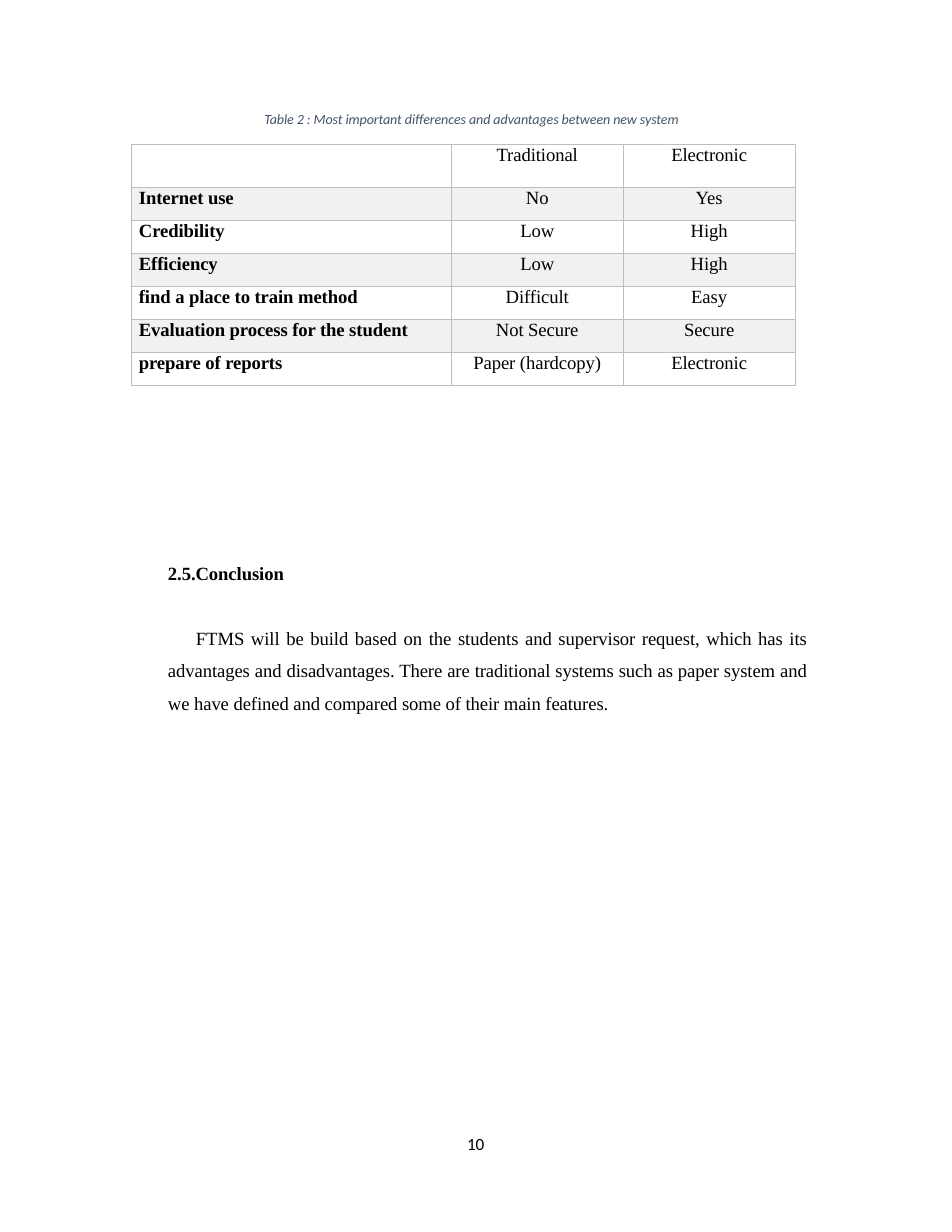
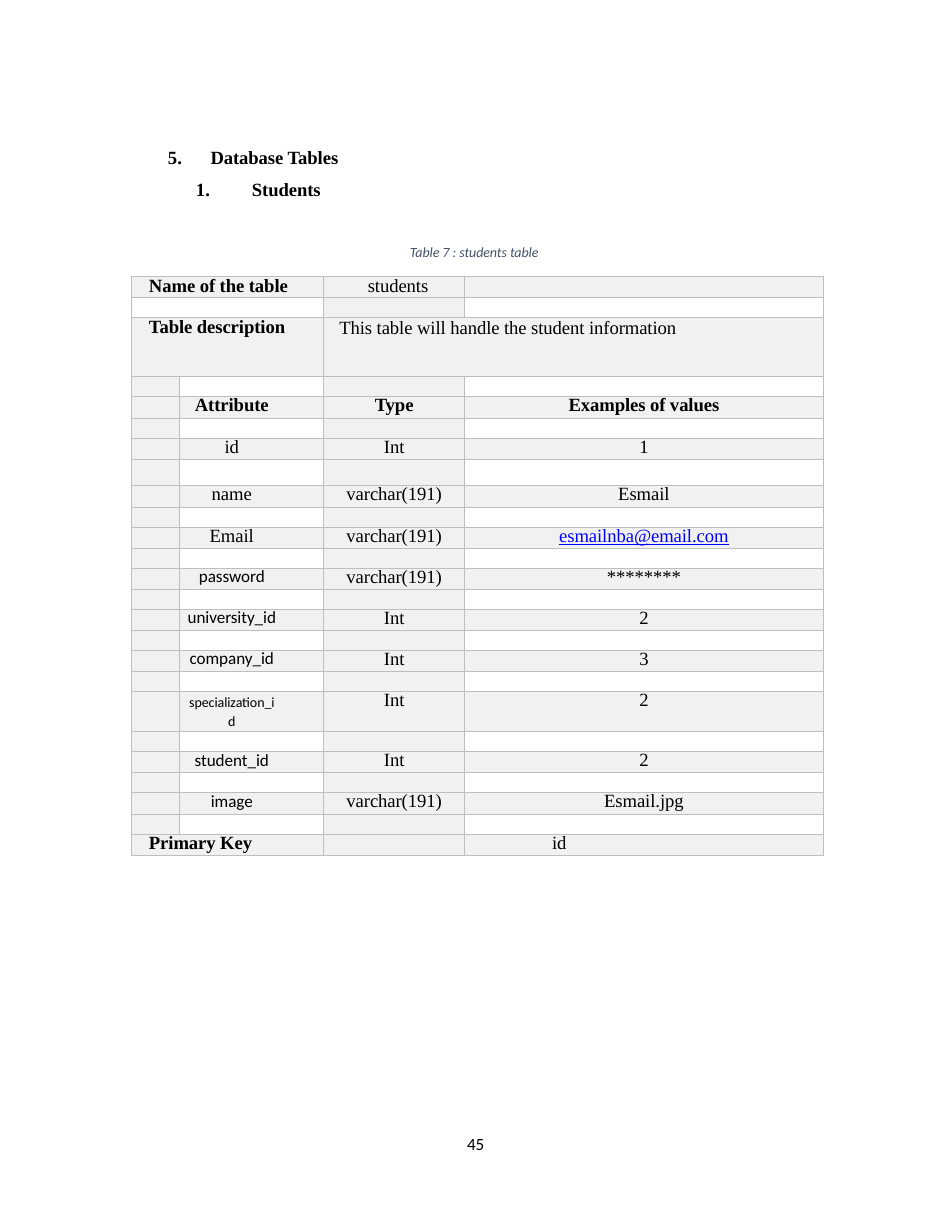
from dataclasses import dataclass
from lxml.etree import SubElement as Sub
from pptx import Presentation
from pptx.dml.color import RGBColor as RGB
from pptx.enum.text import MSO_AUTO_SIZE as Auto, PP_ALIGN as Align
from pptx.oxml.ns import qn
from pptx.util import Inches, Pt


@dataclass(frozen=True)
class Theme:
    ink: str = "000000"
    note: str = "44536A"
    link: str = "0000FF"
    band: str = "F1F1F1"
    rule: str = "BEBEBE"
    serif: str = "Times New Roman"
    sans: str = "Calibri"
    body: int = 12
    label: int = 11
    small: int = 9
    track: int = -5


T = Theme()
COLS, ROWS = 85, 110
BODY = dict(name=T.serif, size=Pt(T.body))
BOLD = dict(BODY, bold=True)
PLAIN = dict(name=T.sans, size=Pt(T.label))
SMALL = dict(PLAIN, size=Pt(T.small))
NOTE = dict(SMALL, italic=True, color=T.note)
LINK = dict(BODY, underline=True, color=T.link)
MID = dict(alignment=Align.CENTER)


def unit(n):
    return Inches(n / 10)


def apply(item, props):
    for key, value in props.items():
        setattr(item, key, value)


def write(par, text, font, form=None, left=0, first=0, num=0):
    ppr = par._p.get_or_add_pPr()
    apply(par, form or {})
    if left or first:
        ppr.set("marL", str(unit(left)))
        ppr.set("indent", str(unit(first)))
    if num:
        Sub(ppr, qn("a:buAutoNum"), type="arabicPeriod", startAt=str(num))
        tabs = Sub(ppr, qn("a:tabLst"))
        Sub(tabs, qn("a:tab"), pos=str(unit(left)), algn="l")
    par.text = text
    look = dict(font)
    tint = look.pop("color", T.ink)
    for run in par.runs:
        apply(run.font, look)
        run.font.color.rgb = RGB.from_string(tint)
        run._r.get_or_add_rPr().set("spc", str(T.track))


def box(slide, area, pars, top=0.1, right=0):
    frame = slide.shapes.add_textbox(*map(unit, area)).text_frame
    apply(frame, dict(word_wrap=True, auto_size=Auto.SHAPE_TO_FIT_TEXT,
                      margin_left=unit(0.1), margin_top=unit(top),
                      margin_right=unit(right), margin_bottom=0))
    for i, par in enumerate(pars):
        write(frame.paragraphs[0] if i == 0 else frame.add_paragraph(), **par)


def edge(cell):
    tcpr = cell._tc.get_or_add_tcPr()
    for side in ("lnL", "lnR", "lnT", "lnB"):
        line = Sub(tcpr, qn(f"a:{side}"), w=str(Pt(0.5)))
        Sub(Sub(line, qn("a:solidFill")), qn("a:srgbClr"), val=T.rule)


def fill(cell, shade):
    edge(cell)
    apply(cell, dict(margin_left=0, margin_right=0, margin_top=0, margin_bottom=0))
    if shade:
        cell.fill.solid()
        cell.fill.fore_color.rgb = RGB.from_string(T.band)
    else:
        cell.fill.background()
    par = cell.text_frame.paragraphs[0]
    par.line_spacing = Pt(T.small)
    Sub(par._p, qn("a:endParaRPr"), sz=str(T.small * 100))


def share(parts, total):
    return [unit(part * total / sum(parts)) for part in parts]


def grid(slide, area, wide, high, shade):
    table = slide.shapes.add_table(len(high), len(wide), *map(unit, area)).table
    apply(table, dict(first_row=False, horz_banding=False))
    for col, size in zip(table.columns, share(wide, area[2])):
        col.width = size
    for row, size in zip(table.rows, share(high, area[3])):
        row.height = size
    for r in range(len(high)):
        for c in range(len(wide)):
            fill(table.cell(r, c), shade(r, c))
    return table


def put(cell, text, font=BODY, form=None, left=0, right=0, lead=12.4):
    cell.margin_right = unit(right)
    write(cell.text_frame.paragraphs[0], text, font,
          dict(form or {}, line_spacing=Pt(lead)), left)


def page(deck, num, note, area):
    slide = deck.slides.add_slide(deck.slide_layouts[6])
    box(slide, (41.6, 101.4, 2.1, 1.8),
        [dict(text=str(num), font=PLAIN, form=dict(line_spacing=Pt(11.5)))], top=0)
    box(slide, area, [dict(text=note, font=NOTE)])
    return slide


def compare(deck):
    slide = page(deck, 10,
                 "Table 2 : Most important differences and advantages between new system",
                 (23.5, 9.8, 38, 1.8))
    rows = [
        ("", "Traditional", "Electronic"),
        ("Internet use", "No", "Yes"),
        ("Credibility", "Low", "High"),
        ("Efficiency", "Low", "High"),
        ("find a place to train method", "Difficult", "Easy"),
        ("Evaluation process for the student", "Not Secure", "Secure"),
        ("prepare of reports", "Paper (hardcopy)", "Electronic"),
    ]
    high = [3.8] + [2.95] * (len(rows) - 1)
    table = grid(slide, (11.7, 12.9, 59.3, sum(high)), (28.5, 15.3, 15.3), high,
                 lambda r, c: r % 2 == 1)
    for r, (name, *values) in enumerate(rows):
        if name:
            put(table.cell(r, 0), name, BOLD, left=0.7, lead=13.8)
        for c, value in enumerate(values, 1):
            put(table.cell(r, c), value, form=MID, lead=13.6)
    box(slide, (14.9, 50.1, 57.7, 13.8), [
        dict(text="2.5.Conclusion", font=BOLD),
        dict(text="FTMS will be build based on the students and supervisor request, "
                  "which has its advantages and disadvantages. There are traditional "
                  "systems such as paper system and we have defined and compared some "
                  "of their main features.",
             font=BODY, first=2.5,
             form=dict(alignment=Align.JUSTIFY, line_spacing=1.44, space_before=Pt(21))),
    ], right=0.5)


def schema(deck):
    slide = page(deck, 45, "Table 7 : students table", (36.5, 21.6, 12.1, 1.8))
    box(slide, (14.9, 12, 15.7, 6), [
        dict(text="Database Tables", font=BOLD, left=3.8, first=-3.8, num=5),
        dict(text="Students", font=BOLD, left=7.5, first=-5, num=1,
             form=dict(level=1, space_before=Pt(6.3))),
    ], top=1)
    fields = [
        ("Attribute", "Type", "Examples of values", BOLD, BOLD),
        ("id", "Int", "1", BODY, BODY),
        ("name", "varchar(191)", "Esmail", BODY, BODY),
        ("Email", "varchar(191)", "esmailnba@email.com", BODY, LINK),
        ("password", "varchar(191)", "********", PLAIN, BODY),
        ("university_id", "Int", "2", PLAIN, BODY),
        ("company_id", "Int", "3", PLAIN, BODY),
        ("specialization_i\nd", "Int", "2", SMALL, BODY),
        ("student_id", "Int", "2", PLAIN, BODY),
        ("image", "varchar(191)", "Esmail.jpg", PLAIN, BODY),
    ]
    start = 4
    last = start + 2 * len(fields)
    high = [1.8 if r % 2 else 1.9 for r in range(last + 1)]
    high[2], high[7], high[18] = 5.3, 2.4, 3.6
    table = grid(slide, (11.7, 24.7, 61.8, 51.7), (4.3, 12.9, 12.6, 32), high,
                 lambda r, c: r % 2 == 0 or c == 2 or (c == 0 and r > 1))
    for r in (0, 1, 2, last):
        table.cell(r, 0).merge(table.cell(r, 1))
    table.cell(2, 2).merge(table.cell(2, 3))
    for r, name in ((0, "Name of the table"), (2, "Table description"),
                    (last, "Primary Key")):
        put(table.cell(r, 0), name, BOLD, left=1.6, lead=12.7)
    put(table.cell(0, 2), "students", form=MID, left=0.7, lead=12.7)
    put(table.cell(2, 2), "This table will handle the student information",
        left=1.4, lead=13.1)
    put(table.cell(last, 3), "id", left=7.8, lead=12.7)
    for i, (name, kind, value, face, look) in enumerate(fields):
        r = start + 2 * i
        put(table.cell(r, 1), name, face, MID, right=3.5)
        put(table.cell(r, 2), kind, BOLD if i == 0 else BODY, MID)
        put(table.cell(r, 3), value, look, MID)


def main():
    deck = Presentation()
    apply(deck, dict(slide_width=unit(COLS), slide_height=unit(ROWS)))
    compare(deck)
    schema(deck)
    deck.save("out.pptx")


if __name__ == "__main__":
    main()
